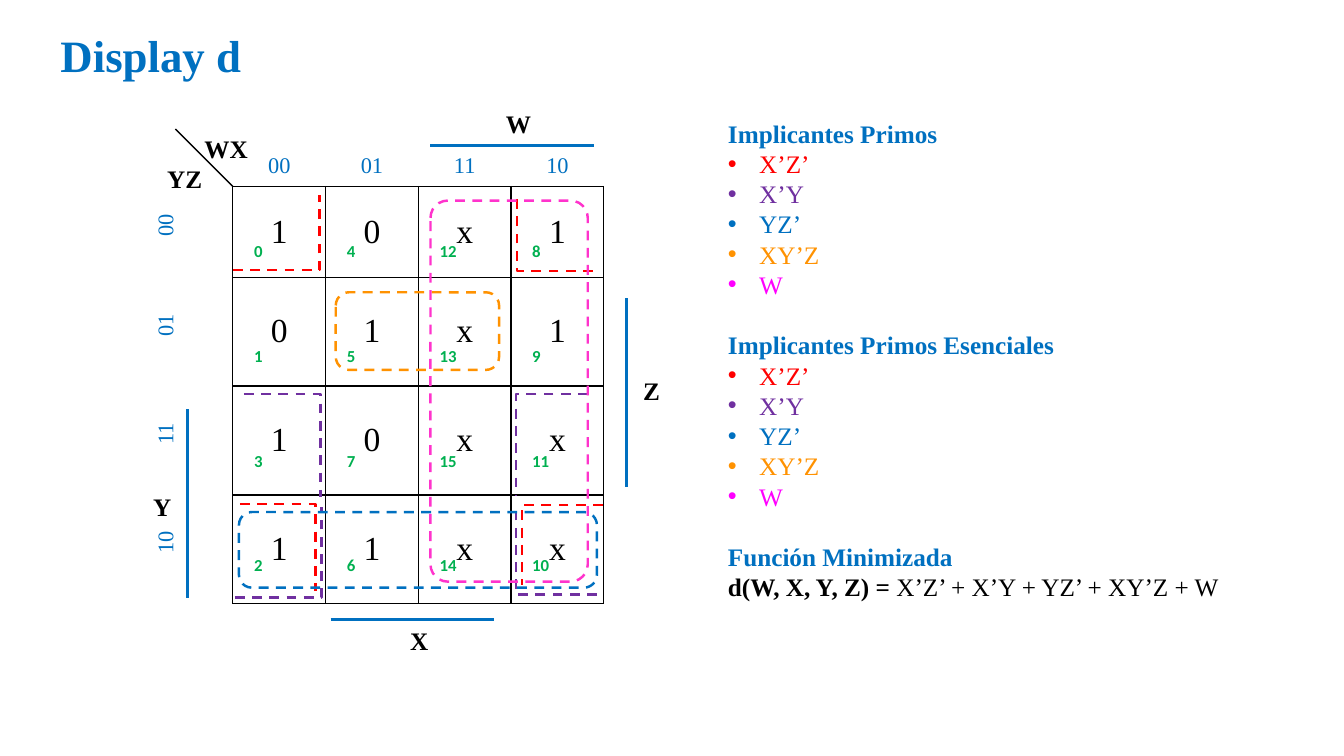
from itertools import product
from lxml.etree import SubElement
from pptx import Presentation
from pptx.dml.color import RGBColor as RGB
from pptx.enum.dml import MSO_LINE as Dash
from pptx.enum.shapes import MSO_CONNECTOR as Link, MSO_SHAPE as Form
from pptx.enum.text import MSO_ANCHOR as Anchor, MSO_AUTO_SIZE as Fit, PP_ALIGN as Align
from pptx.oxml.ns import qn
from pptx.util import Pt

PX = 9144
SERIF = "Times New Roman"
BLACK = RGB(0x00, 0x00, 0x00)
BLUE = RGB(0x00, 0x70, 0xC0)
GREEN = RGB(0x00, 0xB0, 0x50)
RED = RGB(0xFF, 0x00, 0x00)
PURPLE = RGB(0x70, 0x30, 0xA0)
ORANGE = RGB(0xFF, 0x92, 0x01)
PINK = RGB(0xFF, 0x33, 0xCC)
MAGENTA = RGB(0xFF, 0x00, 0xFF)

GRAY = (0, 1, 3, 2)
VALUES = ("10x1", "01x1", "10xx", "11xx")
COL = 92
NO_STYLE = "{2D5ABB26-0587-4C30-8999-92F81FD0307C}"
TERMS = {"X’Z’": RED, "X’Y": PURPLE, "YZ’": BLUE, "XY’Z": ORANGE, "W": MAGENTA}
HEADS = ("Implicantes Primos", "Implicantes Primos Esenciales", "Función Minimizada")

BARS = ((196, -41, 358, -41), (97, 430, 259, 430),
        (390, 111, 390, 298), (-45, 221, -45, 408))
NAMES = (("WX", -38, -58, 64), ("YZ", -75, -28, 55), ("Y", -89, 298, 38),
         ("Z", 397, 182, 37), ("W", 261, -82, 45), ("X", 166, 430, 38))
RINGS = ((6, 323, 355, 75, BLUE, 0.17), (102, 105, 162, 77, ORANGE, 0.17),
         (196, 14, 156, 378, PINK, 0.11))
HOOKS = ((357, 282, 84, 6, RED), (0, 86, 83, 8, RED),
         (367, 287, 316, 395, RED), (7, 82, 315, 401, RED),
         (11, 87, 206, 308, PURPLE), (2, 88, 408, 318, PURPLE),
         (352, 281, 206, 307, PURPLE), (361, 281, 405, 316, PURPLE))


def px(*nums):
    return [n * PX for n in nums]


def style(run, size, color, bold=False, face=SERIF):
    font = run.font
    font.name, font.size, font.bold = face, Pt(size), bold
    font.color.rgb = color


def place(shape, box):
    shape.left, shape.top, shape.width, shape.height = px(*box)


def add_grid(slide, x, y, rows):
    cols = [COL] * 5
    frame = slide.shapes.add_table(len(rows), 5, *px(x, y, sum(cols), sum(rows)))
    table = frame.table
    table.first_row = table.horz_banding = False
    table._tbl.tblPr.find(qn("a:tableStyleId")).text = NO_STYLE
    for col, wide in zip(table.columns, cols):
        col.width = wide * PX
    for row, high in zip(table.rows, rows):
        row.height = high * PX
    for cell in table.iter_cells():
        cell.fill.background()
    return table


def fill_cell(cell, text, pads, anchor, align):
    cell.text_frame.text = text
    cell.margin_left, cell.margin_top, cell.margin_right, cell.margin_bottom = px(*pads)
    cell.vertical_anchor = anchor
    para = cell.text_frame.paragraphs[0]
    para.alignment = align
    return para.runs[0]


def edge(cell, sides):
    props = cell._tc.get_or_add_tcPr()
    for spot, side in enumerate(sides):
        line = SubElement(props, qn("a:ln" + side), w=str(Pt(1)))
        paint = SubElement(line, qn("a:solidFill"))
        SubElement(paint, qn("a:srgbClr"), val=str(BLACK))
        props.insert(spot, line)


def add_terms(slide, x, y):
    table = add_grid(slide, x, y, [104] * 5)
    for row, col in product(range(4), repeat=2):
        num = 4 * GRAY[col] + GRAY[row]
        run = fill_cell(table.cell(row + 1, col + 1), str(num),
                        (25, 13, 25, 13), Anchor.BOTTOM, Align.LEFT)
        style(run, 12, GREEN, True, "Calibri")


def add_values(slide, x, y):
    table = add_grid(slide, x, y, [55, 90, 108, 108, 108])
    for spot, code in enumerate(GRAY, 1):
        top, side = table.cell(0, spot), table.cell(spot, 0)
        for cell, pad, sides in ((top, 25, "B"), (side, 12, "R")):
            run = fill_cell(cell, f"{code:02b}", (25, 13, pad, 8),
                            Anchor.BOTTOM, Align.CENTER)
            style(run, 16, BLUE)
            edge(cell, sides)
        side._tc.tcPr.set("vert", "vert270")
    for row, col in product(range(4), repeat=2):
        cell = table.cell(row + 1, col + 1)
        run = fill_cell(cell, VALUES[row][col], (1, 2, 1, 2),
                        Anchor.MIDDLE, Align.CENTER)
        style(run, 24, BLACK)
        edge(cell, "LRTB")


def add_line(slide, ends, color, width):
    line = slide.shapes.add_connector(Link.STRAIGHT, *px(*ends))
    line.line.color.rgb, line.line.width = color, Pt(width)
    SubElement(line._element.spPr, qn("a:effectLst"))


def add_name(slide, text, box):
    label = slide.shapes.add_textbox(*px(*box))
    frame = label.text_frame
    frame.word_wrap = False
    frame.text = text
    style(frame.paragraphs[0].runs[0], 18, BLACK, True)


def outline(shape, color):
    shape.shadow.inherit = False
    shape.fill.background()
    shape.line.color.rgb, shape.line.width = color, Pt(1.75)
    shape.line.dash_style = Dash.DASH


def add_map(slide, x, y):
    add_terms(slide, x - 96, y - 120)
    add_values(slide, x - 92, y - 55)
    add_line(slide, (x, y, x - 57, y - 57), BLACK, 1)
    for x1, y1, x2, y2 in BARS:
        add_line(slide, (x + x1, y + y1, x + x2, y + y2), BLUE, 2.25)
    for text, left, top, wide in NAMES:
        add_name(slide, text, (x + left, y + top, wide, 40))
    for tip, turn, level, tail, color in HOOKS:
        path = slide.shapes.build_freeform(x + tip, y + level, scale=PX)
        path.add_line_segments([(x + turn, y + level), (x + turn, y + tail)], close=False)
        outline(path.convert_to_shape(), color)
    for left, top, wide, high, color, curve in RINGS:
        ring = slide.shapes.add_shape(Form.ROUNDED_RECTANGLE,
                                      *px(x + left, y + top, wide, high))
        ring.adjustments[0] = curve
        outline(ring, color)


def add_title(slide, box):
    title = slide.shapes.title
    place(title, box)
    frame = title.text_frame
    frame.text = "Display d"
    frame.word_wrap, frame.auto_size = False, Fit.NONE
    frame.vertical_anchor = Anchor.MIDDLE
    frame.paragraphs[0].alignment = Align.LEFT
    style(frame.paragraphs[0].runs[0], 32, BLUE, True)


def add_list(slide, box):
    body = slide.placeholders[1]
    place(body, box)
    frame = body.text_frame
    frame.auto_size, frame.vertical_anchor = Fit.NONE, Anchor.TOP
    lines = [HEADS[0], *TERMS, HEADS[1], *TERMS, HEADS[2], "d(W, X, Y, Z) = "]
    frame.text = "\n".join(lines)
    for para in frame.paragraphs:
        text = para.text
        para.line_spacing = Pt(21.6)
        para.space_before = Pt(21.6 if text in HEADS[1:] else 0)
        props = para._p.get_or_add_pPr()
        if text in TERMS:
            props.set("marL", str(31 * PX))
            props.set("indent", str(-31 * PX))
            SubElement(props, qn("a:buFont"), typeface="Arial")
            SubElement(props, qn("a:buChar"), char="•")
            style(para.runs[0], 18, TERMS[text])
        else:
            props.set("marL", "0")
            props.set("indent", "0")
            SubElement(props, qn("a:buNone"))
            style(para.runs[0], 18, BLUE if text in HEADS else BLACK, True)
    result = frame.paragraphs[-1].add_run()
    result.text = " + ".join(TERMS)
    style(result, 18, BLACK)


def main():
    deck = Presentation()
    deck.slide_width, deck.slide_height = px(1333, 750)
    slide = deck.slides.add_slide(deck.slide_layouts[1])
    add_title(slide, (50, 22, 201, 64))
    add_map(slide, 231, 185)
    add_list(slide, (712, 112, 547, 525))
    deck.save("out.pptx")


if __name__ == "__main__":
    main()
